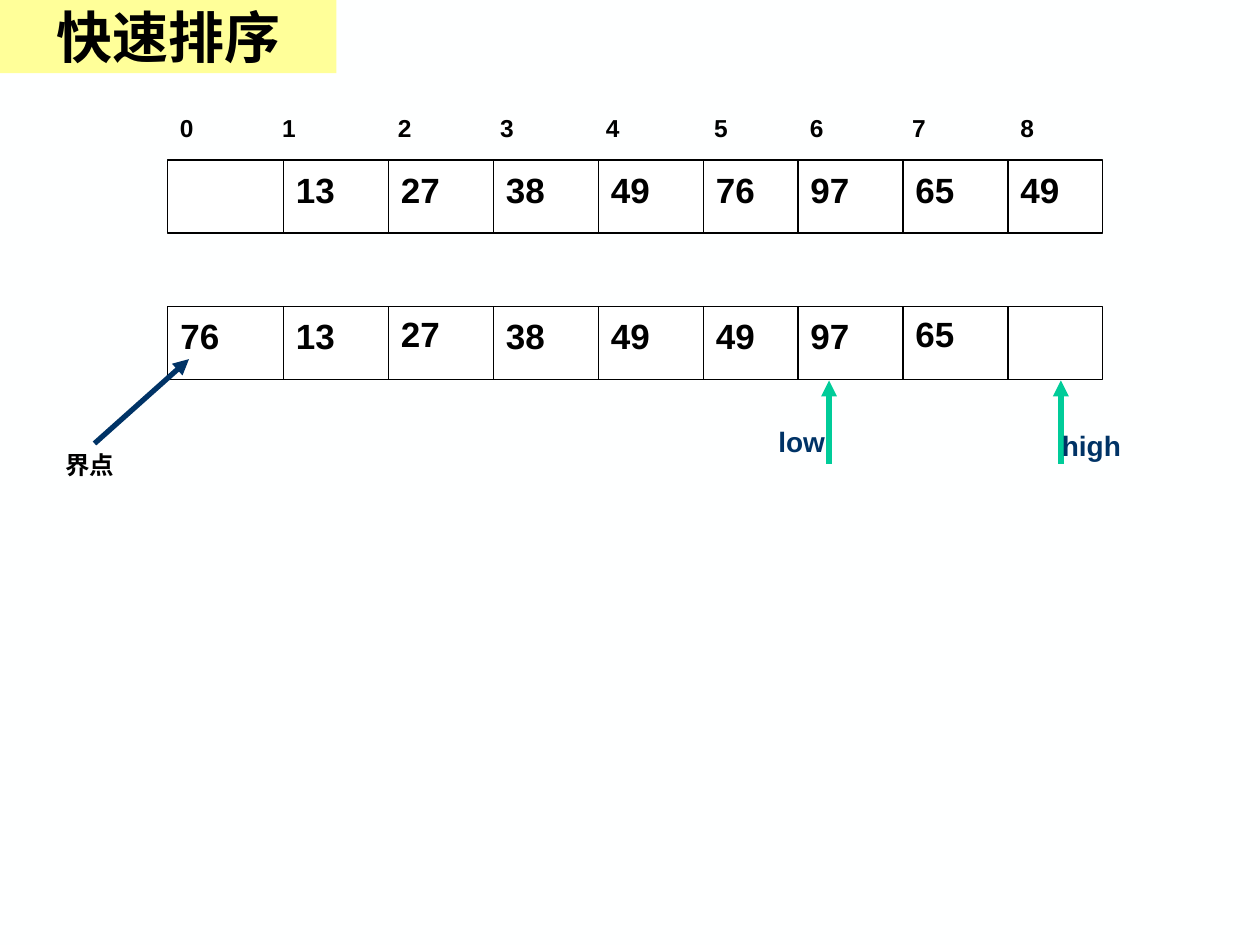
from itertools import accumulate
from lxml import etree
from pptx import Presentation, util as u
from pptx.dml.color import RGBColor
from pptx.enum import shapes, text
from pptx.oxml.ns import qn

# Content
TITLE = "快速排序"
INDEXES = range(9)
ROWS = [
    (1.27, ["", "13", "27", "38", "49", "76", "97", "65", "49"]),
    (2.43, ["76", "13", "27", "38", "49", "49", "97", "65", ""]),
]
RAISED = {(1, 2), (1, 7)}  # row, column of the slightly higher values
POINTERS = [("low", 6.58, 6.08, 3.32), ("high", 8.42, 8.33, 3.35)]
PIVOT = "界点"
COLORS = {"bg": "FEFFFF", "cell": "FFFFFF", "ink": "000000",
          "title": "FFFF99", "pointer": "00CC99", "navy": "003366"}

# Grid: column widths in twelfths of an inch
LEFT, CELL_H = 1.33, 0.58
WIDTHS = [11, 10, 10, 10, 10, 9, 10, 10, 9]
EDGES = [x / 12 for x in accumulate(WIDTHS, initial=16)]
INDEX_TABS = [0.81, 1.73, 2.54, 3.38, 4.24, 5, 5.81, 6.67]

prs = Presentation()
prs.slide_width, prs.slide_height = u.Inches(10), u.Inches(7.5)
s = prs.slides.add_slide(prs.slide_layouts[6])


def rgb(name):
    return RGBColor.from_string(COLORS[name])


s.background.fill.solid()
s.background.fill.fore_color.rgb = rgb("bg")


def add_rect(x, y, w, h, fill, line=None):
    sp = s.shapes.add_shape(shapes.MSO_SHAPE.RECTANGLE,
                            *map(u.Inches, (x, y, w, h)))
    sp.shadow.inherit = False
    sp.fill.solid()
    sp.fill.fore_color.rgb = rgb(fill)
    if line:
        sp.line.color.rgb = rgb(line)
        sp.line.width = u.Pt(0.75)
    else:
        sp.line.fill.background()
    return sp


def add_line(x1, y1, x2, y2, color="ink", width=0.75, arrow=False):
    c = s.shapes.add_connector(shapes.MSO_CONNECTOR.STRAIGHT,
                               *map(u.Inches, (x1, y1, x2, y2)))
    c.line.color.rgb = rgb(color)
    c.line.width = u.Pt(width)
    if arrow:
        etree.SubElement(c.line._get_or_add_ln(), qn("a:tailEnd"), type="triangle")
    etree.SubElement(c._element.spPr, qn("a:effectLst"))


def add_text(content, box, size=20, color="ink", font="Arial", sp=None,
             align=text.PP_ALIGN.LEFT, anchor=text.MSO_ANCHOR.TOP, tabs=()):
    sp = sp or s.shapes.add_textbox(*map(u.Inches, box))
    tf = sp.text_frame
    tf.word_wrap = True
    tf.vertical_anchor = anchor
    p = tf.paragraphs[0]
    p.alignment = align
    if tabs:
        stops = etree.SubElement(p._p.get_or_add_pPr(), qn("a:tabLst"))
        for pos in tabs:
            etree.SubElement(stops, qn("a:tab"), pos=str(u.Inches(pos)), algn="l")
    r = p.add_run()
    r.text = content
    r.font.name, r.font.size, r.font.bold = font, u.Pt(size), True
    r.font.color.rgb = rgb(color)


# Array rows
for row, (top, values) in enumerate(ROWS):
    add_rect(LEFT, top, EDGES[-1] - LEFT, CELL_H, "cell", "ink")
    for x in EDGES[1:-1]:
        add_line(x, top, x, top + CELL_H)
    for col, value in enumerate(values):
        if value:
            y = top - 0.02 if (row, col) in RAISED else top
            add_text(value, (EDGES[col], y + 0.02, 0.67, 0.44))

# Index labels
add_text("\t".join(map(str, INDEXES)), (LEFT, 0.85, 7.42, 0.34),
         size=14, tabs=INDEX_TABS)

# Low and high pointers
for label, x, label_x, label_y in POINTERS:
    add_line(x, 3.68, x, 3.02, "pointer", 3, arrow=True)
    add_text(label, (label_x, label_y, 0.92, 0.37), size=16, color="navy")

# Pivot
add_text(PIVOT, (0.42, 3.52, 0.83, 0.34), size=14)
add_line(0.75, 3.52, 1.5, 2.85, "navy", 3, arrow=True)

# Title
title = add_rect(0, 0, 2.67, CELL_H, "title")
add_text(TITLE, None, size=32, font="Times New Roman", sp=title,
         align=text.PP_ALIGN.CENTER, anchor=text.MSO_ANCHOR.MIDDLE)

prs.save("out.pptx")
